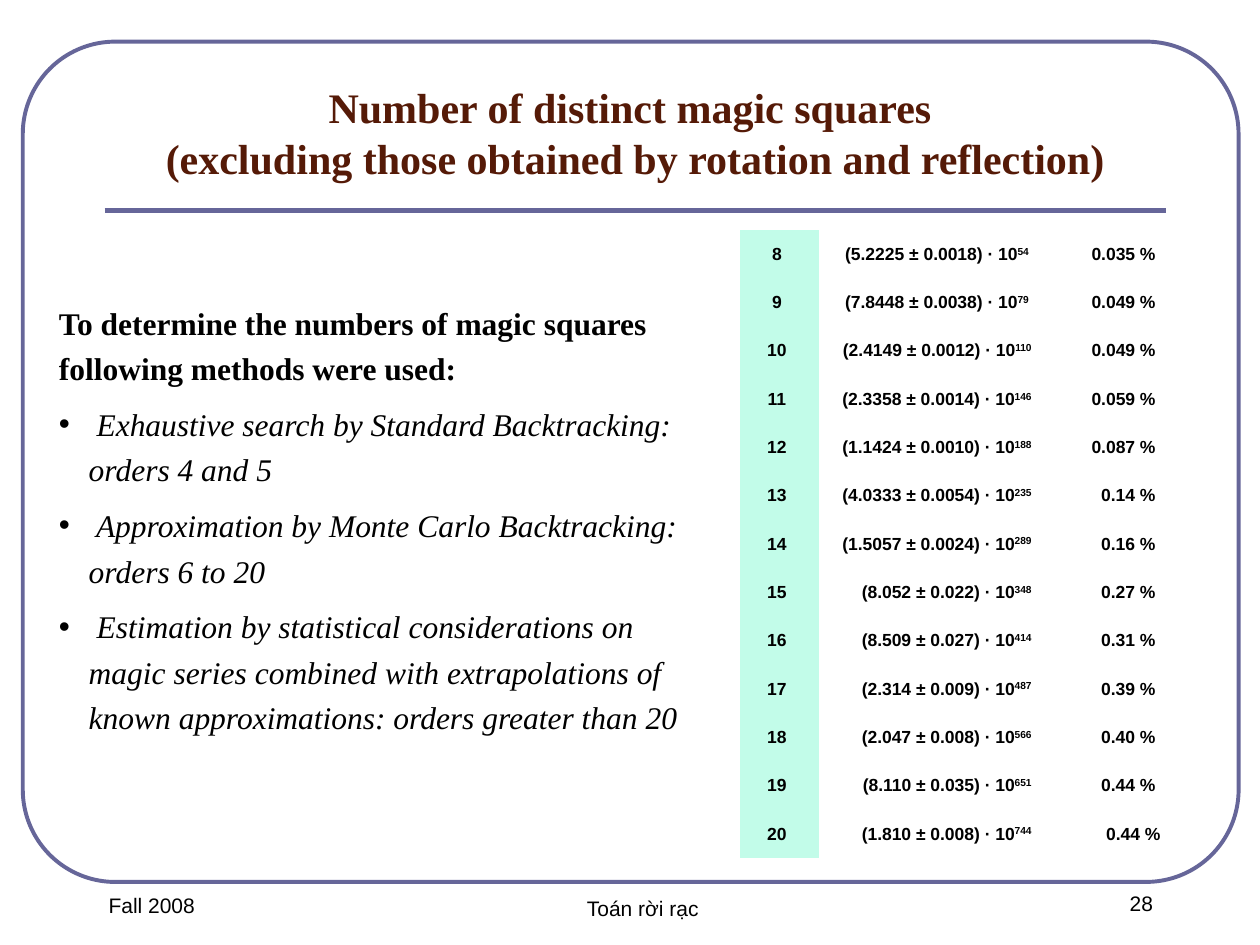
"""Builds the slide on the number of distinct magic squares."""

from lxml.etree import SubElement
from pptx import Presentation
from pptx.dml.color import RGBColor
from pptx.enum.shapes import MSO_CONNECTOR as Connector, MSO_SHAPE as Preset
from pptx.enum.text import MSO_ANCHOR as Anchor, PP_ALIGN as Align
from pptx.oxml.ns import qn
from pptx.util import Cm, Pt

COLOURS = {"rule": "666699", "title": "551A07", "text": "000000",
           "order": "C2FCE9", "cell": "FFFFFF"}
SERIF, SANS = "Times New Roman", "Arial"
NO_TABLE_STYLE = "{2D5ABB26-0587-4C30-8999-92F81FD0307C}"

TITLE = ("Number of distinct magic squares \n"
         "(excluding those obtained by rotation and reflection)")
INTRO = "To determine the numbers of magic squares following methods were used:"
METHODS = [
    " Exhaustive search by Standard Backtracking: orders 4 and 5",
    " Approximation by Monte Carlo Backtracking: orders 6 to 20",
    " Estimation by statistical considerations on magic series combined with "
    "extrapolations of known approximations: orders greater than 20",
]
ESTIMATES = [
    ("5.2225 ± 0.0018", "54  ", "0.035 % "),
    ("7.8448 ± 0.0038", "79  ", "0.049 % "),
    ("2.4149 ± 0.0012", "110 ", "0.049 % "),
    ("2.3358 ± 0.0014", "146 ", "0.059 % "),
    ("1.1424 ± 0.0010", "188 ", "0.087 % "),
    ("4.0333 ± 0.0054", "235 ", "0.14 % "),
    ("1.5057 ± 0.0024", "289 ", "0.16 % "),
    ("8.052 ± 0.022", "348 ", "0.27 % "),
    ("8.509 ± 0.027", "414 ", "0.31 % "),
    ("2.314 ± 0.009", "487 ", "0.39 % "),
    ("2.047 ± 0.008", "566 ", "0.40 % "),
    ("8.110 ± 0.035", "651 ", "0.44 % "),
    ("1.810 ± 0.008", "744 ", "0.44 %"),
]
FIRST_ORDER = 8
FOOTERS = [
    ("Fall 2008", (0.2, 17.86, 5.72, 1.27)),
    ("Toán rời rạc", (6.65, 17.93, 12.62, 1.27)),
    ("28", (21.41, 17.83, 3.2, 1.27)),
]


def colour(name):
    """Return the named colour."""
    return RGBColor.from_string(COLOURS[name])


def format_runs(paragraph, font, size, ink="text", bold=False, italic=False):
    """Give every run of the paragraph the same font."""
    for run in paragraph.runs:
        run.font.name, run.font.size = font, Pt(size)
        run.font.bold, run.font.italic = bold, italic
        run.font.color.rgb = colour(ink)


def add_frame(slide):
    """Draw the rounded frame and the rule under the title."""
    frame = slide.shapes.add_shape(Preset.ROUNDED_RECTANGLE, Cm(0.46), Cm(0.84),
                                   Cm(24.51), Cm(16.94))
    frame.adjustments[0] = 0.11
    frame.shadow.inherit = False
    frame.fill.background()
    rule = slide.shapes.add_connector(Connector.STRAIGHT, Cm(2.11), Cm(4.24),
                                      Cm(23.5), Cm(4.24))
    for outline, width in ((frame.line, 2.25), (rule.line, 3)):
        outline.color.rgb = colour("rule")
        outline.width = Pt(width)
    SubElement(rule._element.spPr, qn("a:effectLst"))


def add_text(slide, box, lines, anchor=Anchor.TOP, align=Align.LEFT):
    """Add a wrapping text box and return its paragraphs."""
    frame = slide.shapes.add_textbox(*map(Cm, box)).text_frame
    frame.word_wrap = True
    frame.vertical_anchor = anchor
    for index, line in enumerate(lines):
        paragraph = frame.add_paragraph() if index else frame.paragraphs[0]
        paragraph.text = line
        paragraph.alignment = align
    return frame.paragraphs


def add_bullet(paragraph):
    """Give the paragraph a round bullet with a hanging indent."""
    properties = paragraph._p.get_or_add_pPr()
    hang = Cm(0.6)
    properties.set("marL", str(hang))
    properties.set("indent", str(-hang))
    bullet_colour = SubElement(properties, qn("a:buClr"))
    SubElement(bullet_colour, qn("a:srgbClr"), val=COLOURS["text"])
    SubElement(properties, qn("a:buFont"), typeface=SANS)
    SubElement(properties, qn("a:buChar"), char="•")


def add_methods(slide):
    """Add the introduction and the bulleted methods."""
    intro, *methods = add_text(slide, (0.94, 4.93, 13.74, 10.03),
                               [INTRO, *METHODS], Anchor.BOTTOM)
    for paragraph in (intro, *methods):
        paragraph.line_spacing = 1.2
        paragraph.space_before = Pt(6)
    format_runs(intro, SERIF, 18, bold=True)
    for method in methods:
        add_bullet(method)
        format_runs(method, SERIF, 18, italic=True)


def fill_cell(cell, text, fill, align, exponent=""):
    """Write one table cell, with a raised exponent if given."""
    cell.fill.solid()
    cell.fill.fore_color.rgb = colour(fill)
    cell.vertical_anchor = Anchor.MIDDLE
    cell.margin_left = cell.margin_right = Cm(0.08)
    cell.margin_top = cell.margin_bottom = Cm(0.13)
    paragraph = cell.text_frame.paragraphs[0]
    paragraph.text = text
    paragraph.alignment = align
    if exponent:
        raised = paragraph.add_run()
        raised.text = exponent
        raised.font._element.set("baseline", "30000")
    format_runs(paragraph, SANS, 10, bold=True)


def add_estimates(slide):
    """Add the table of orders, estimated counts and errors."""
    widths = (1.6, 4.42, 2.54)
    table = slide.shapes.add_table(len(ESTIMATES), len(widths), Cm(14.91), Cm(4.64),
                                   Cm(sum(widths)), Cm(12.67)).table
    table.first_row = table.horz_banding = False
    table._tbl.tblPr.find(qn("a:tableStyleId")).text = NO_TABLE_STYLE
    for column, width in zip(table.columns, widths):
        column.width = Cm(width)
    for index, (count, exponent, error) in enumerate(ESTIMATES):
        order_cell, count_cell, error_cell = table.rows[index].cells
        fill_cell(order_cell, f"{FIRST_ORDER + index} ", "order", Align.CENTER)
        fill_cell(count_cell, f"({count}) · 10", "cell", Align.RIGHT, exponent)
        fill_cell(error_cell, error, "cell", Align.RIGHT)


def main():
    """Build and save the slide."""
    deck = Presentation()
    deck.slide_width, deck.slide_height = Cm(25.4), Cm(19.05)
    slide = deck.slides.add_slide(deck.slide_layouts[6])
    add_frame(slide)
    title, = add_text(slide, (2.11, 1.07, 21.39, 2.74), [TITLE],
                      Anchor.BOTTOM, Align.CENTER)
    format_runs(title, SERIF, 24, "title", bold=True)
    for text, box in FOOTERS:
        footer, = add_text(slide, box, [text], align=Align.CENTER)
        format_runs(footer, SANS, 12)
    add_estimates(slide)
    add_methods(slide)
    deck.save("out.pptx")


if __name__ == "__main__":
    main()
